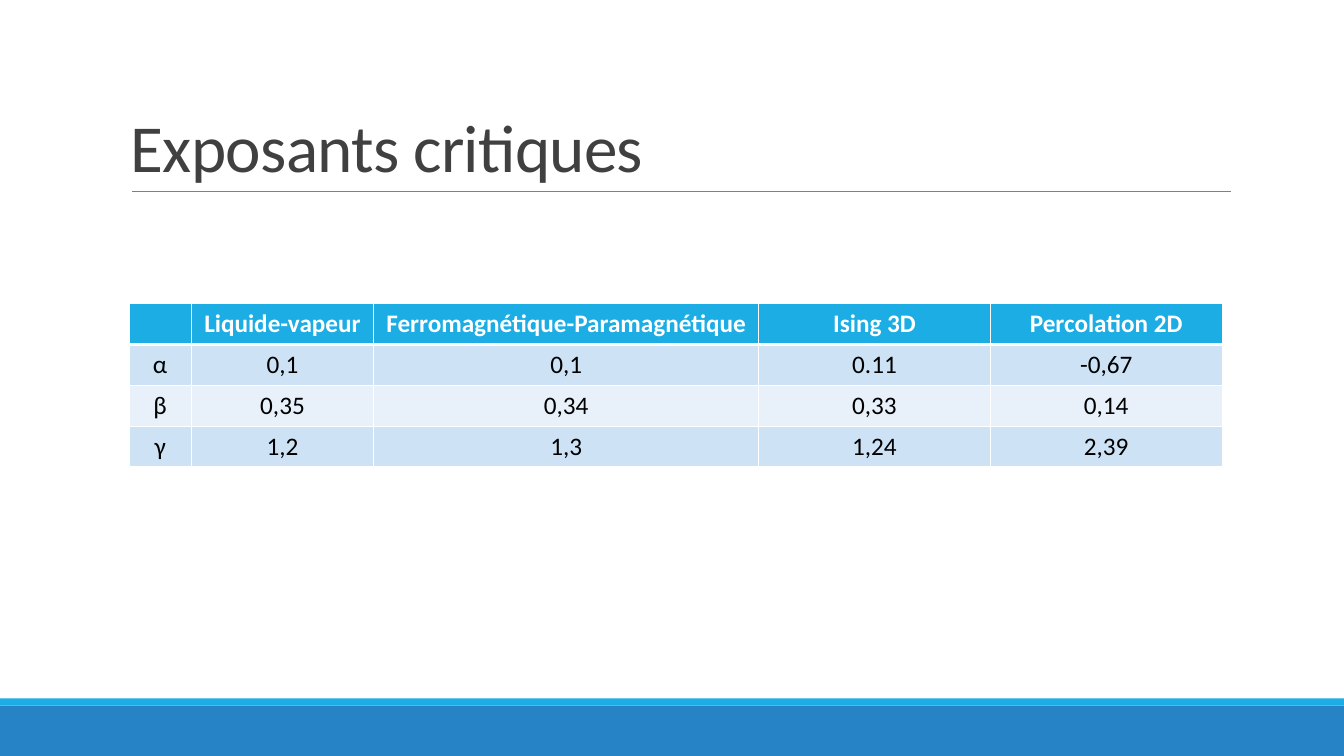
from lxml.etree import SubElement
from pptx import Presentation
from pptx.dml.color import RGBColor
from pptx.enum.shapes import MSO_CONNECTOR as Connector, MSO_SHAPE as Shape
from pptx.enum.text import MSO_ANCHOR as Anchor, PP_ALIGN as Align
from pptx.oxml.ns import qn
from pptx.util import Cm, Pt

TITLE = "Exposants critiques"
ROWS = [
    ("", "Liquide-vapeur", "Ferromagnétique-Paramagnétique", "Ising 3D", "Percolation 2D"),
    ("α", "0,1", "0,1", "0.11", "-0,67"),
    ("β", "0,35", "0,34", "0,33", "0,14"),
    ("γ", "1,2", "1,3", "1,24", "2,39"),
]
COLUMN_WIDTHS = (1.57, 4.6, 9.7, 5.84, 5.84)
ROW_HEIGHT = 1.03
SLIDE_WIDTH, SLIDE_HEIGHT = 33.87, 19.05
FOOTER_BANDS = [("footer", 17.78, 1.27), ("accent", 17.6, 0.18)]
FONT = "Calibri"
COLORS = {
    "footer": "2683C6", "accent": "1CADE4", "rule": "808080", "title": "404040",
    "white": "FFFFFF", "black": "000000", "odd": "CDE3F5", "even": "E8F1FA",
}


def color(name):
    return RGBColor.from_string(COLORS[name])


def style_run(run, size, color_name, bold=False):
    run.font.name = FONT
    run.font.size = Pt(size)
    run.font.bold = bold
    run.font.color.rgb = color(color_name)


def add_footer(slide):
    for name, top, height in FOOTER_BANDS:
        band = slide.shapes.add_shape(Shape.RECTANGLE, 0, Cm(top), Cm(SLIDE_WIDTH), Cm(height))
        band.shadow.inherit = False
        band.fill.solid()
        band.fill.fore_color.rgb = color(name)
        band.line.fill.background()


def add_title(slide):
    rule = slide.shapes.add_connector(Connector.STRAIGHT, Cm(3.33), Cm(4.83), Cm(31.01), Cm(4.83))
    rule.line.color.rgb = color("rule")
    rule.line.width = Pt(0.5)
    SubElement(rule.element.spPr, qn("a:effectLst"))

    title = slide.shapes.add_textbox(Cm(3.05), Cm(0.79), Cm(27.94), Cm(4.04))
    text_frame = title.text_frame
    text_frame.word_wrap = True
    text_frame.vertical_anchor = Anchor.BOTTOM
    text_frame.text = TITLE
    paragraph = text_frame.paragraphs[0]
    paragraph.line_spacing = 0.85
    run = paragraph.runs[0]
    style_run(run, 48, "title")
    run.font._element.set("spc", "-50")


def set_borders(cell, bottom_width):
    properties = cell._tc.get_or_add_tcPr()
    for side, width in (("L", 1), ("R", 1), ("T", 1), ("B", bottom_width)):
        line = SubElement(properties, qn(f"a:ln{side}"), w=str(Pt(width)))
        fill = SubElement(line, qn("a:solidFill"))
        SubElement(fill, qn("a:srgbClr"), val=COLORS["white"])


def fill_cell(cell, text, row_index):
    header = row_index == 0
    set_borders(cell, 3 if header else 1)
    cell.fill.solid()
    cell.fill.fore_color.rgb = color("accent" if header else "odd" if row_index % 2 else "even")
    cell.vertical_anchor = Anchor.MIDDLE
    cell.text = text
    paragraph = cell.text_frame.paragraphs[0]
    paragraph.alignment = Align.CENTER
    for run in paragraph.runs:
        style_run(run, 18, "white" if header else "black", header)


def add_exponents(slide):
    table = slide.shapes.add_table(
        len(ROWS), len(COLUMN_WIDTHS), Cm(3.25), Cm(7.65),
        Cm(sum(COLUMN_WIDTHS)), Cm(ROW_HEIGHT * len(ROWS))).table
    for column, width in zip(table.columns, COLUMN_WIDTHS):
        column.width = Cm(width)
    for row_index, texts in enumerate(ROWS):
        table.rows[row_index].height = Cm(ROW_HEIGHT)
        for column_index, text in enumerate(texts):
            fill_cell(table.cell(row_index, column_index), text, row_index)


def main():
    """Build the slide on critical exponents."""
    presentation = Presentation()
    presentation.slide_width = Cm(SLIDE_WIDTH)
    presentation.slide_height = Cm(SLIDE_HEIGHT)
    slide = presentation.slides.add_slide(presentation.slide_layouts[6])
    add_footer(slide)
    add_title(slide)
    add_exponents(slide)
    presentation.save("out.pptx")


if __name__ == "__main__":
    main()
